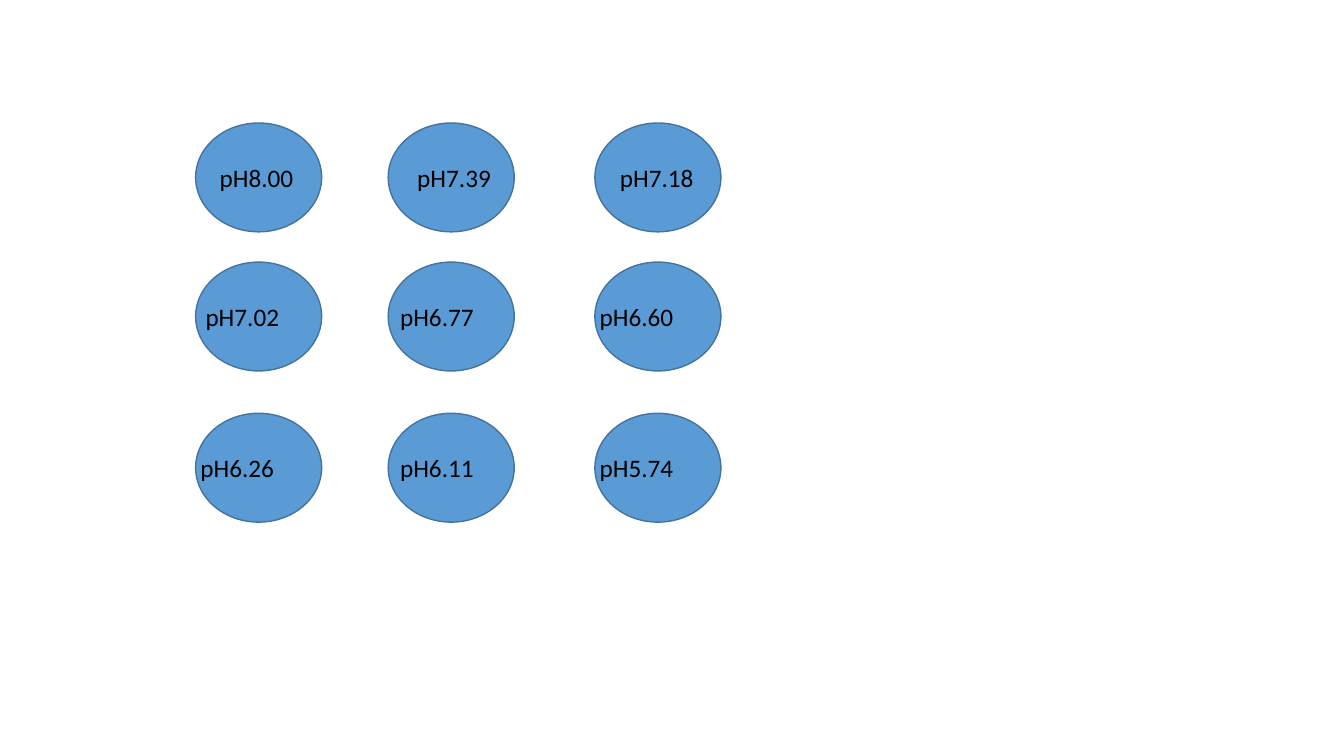
from dataclasses import dataclass

from pptx import Presentation
from pptx.dml.color import RGBColor
from pptx.enum.shapes import MSO_SHAPE
from pptx.enum.text import MSO_AUTO_SIZE
from pptx.slide import Slide
from pptx.util import Inches, Pt

ELLIPSE = MSO_SHAPE.OVAL
GROW_TO_TEXT = MSO_AUTO_SIZE.SHAPE_TO_FIT_TEXT

WELL_FILL = RGBColor(0x5B, 0x9B, 0xD5)
WELL_LINE = RGBColor(0x43, 0x73, 0x9E)
LABEL_COLOUR = RGBColor(0x00, 0x00, 0x00)

# Grid of wells, in inches
COLUMNS = (1.94, 3.85, 5.90)
ROWS = (1.22, 2.60, 4.10)
WELL_WIDTH, WELL_HEIGHT = 1.25, 1.08
LABEL_DROP, LABEL_HEIGHT = 0.34, 0.40
NARROW, WIDE = 0.96, 1.34


@dataclass(frozen=True)
class Well:
    column: int
    row: int
    ph: str
    label_shift: float  # label's left edge relative to the well's
    label_width: float = WIDE


WELLS = (
    Well(0, 0, "8.00", 0.14, NARROW),
    Well(1, 0, "7.39", 0.19, NARROW),
    Well(2, 0, "7.18", 0.15),
    Well(0, 1, "7.02", 0.00),
    Well(1, 1, "6.77", 0.02),
    Well(2, 1, "6.60", -0.05),
    Well(0, 2, "6.26", -0.05),
    Well(1, 2, "6.11", 0.02),
    Well(2, 2, "5.74", -0.05),
)


def draw_well(page: Slide, well: Well) -> None:
    ellipse = page.shapes.add_shape(
        ELLIPSE, Inches(COLUMNS[well.column]), Inches(ROWS[well.row]),
        Inches(WELL_WIDTH), Inches(WELL_HEIGHT))
    ellipse.shadow.inherit = False
    ellipse.fill.solid()
    ellipse.fill.fore_color.rgb = WELL_FILL
    ellipse.line.color.rgb = WELL_LINE
    ellipse.line.width = Pt(1)


def draw_label(page: Slide, well: Well) -> None:
    box = page.shapes.add_textbox(
        Inches(COLUMNS[well.column] + well.label_shift),
        Inches(ROWS[well.row] + LABEL_DROP),
        Inches(well.label_width), Inches(LABEL_HEIGHT))
    frame = box.text_frame
    frame.word_wrap = True
    frame.auto_size = GROW_TO_TEXT
    para = frame.paragraphs[0]
    para.text = f"pH{well.ph}"
    para.font.name = "Calibri"
    para.font.size = Pt(18)
    para.font.color.rgb = LABEL_COLOUR


def main() -> None:
    deck = Presentation()
    deck.slide_width, deck.slide_height = Inches(13.33), Inches(7.5)
    page = deck.slides.add_slide(deck.slide_layouts[6])

    # Wells first, labels on top
    for well in WELLS:
        draw_well(page, well)
    for well in WELLS:
        draw_label(page, well)

    deck.save("out.pptx")


if __name__ == "__main__":
    main()
